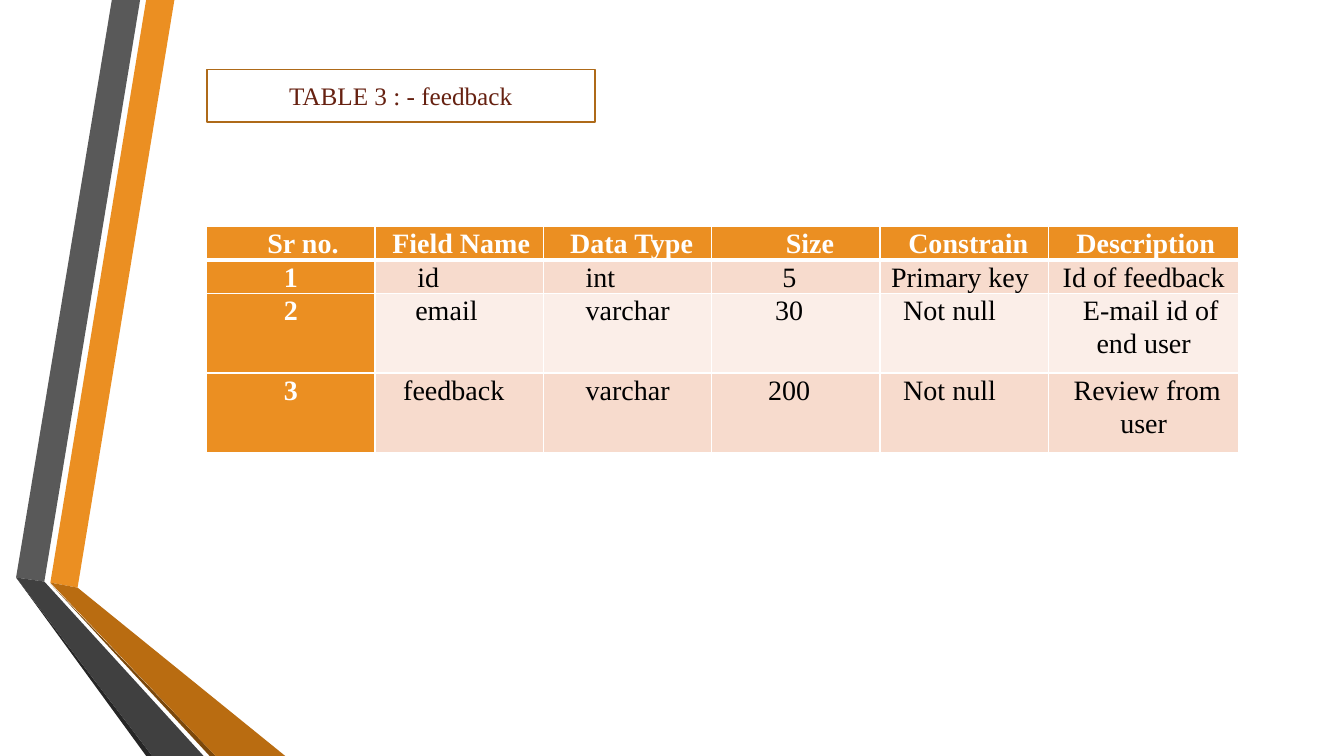
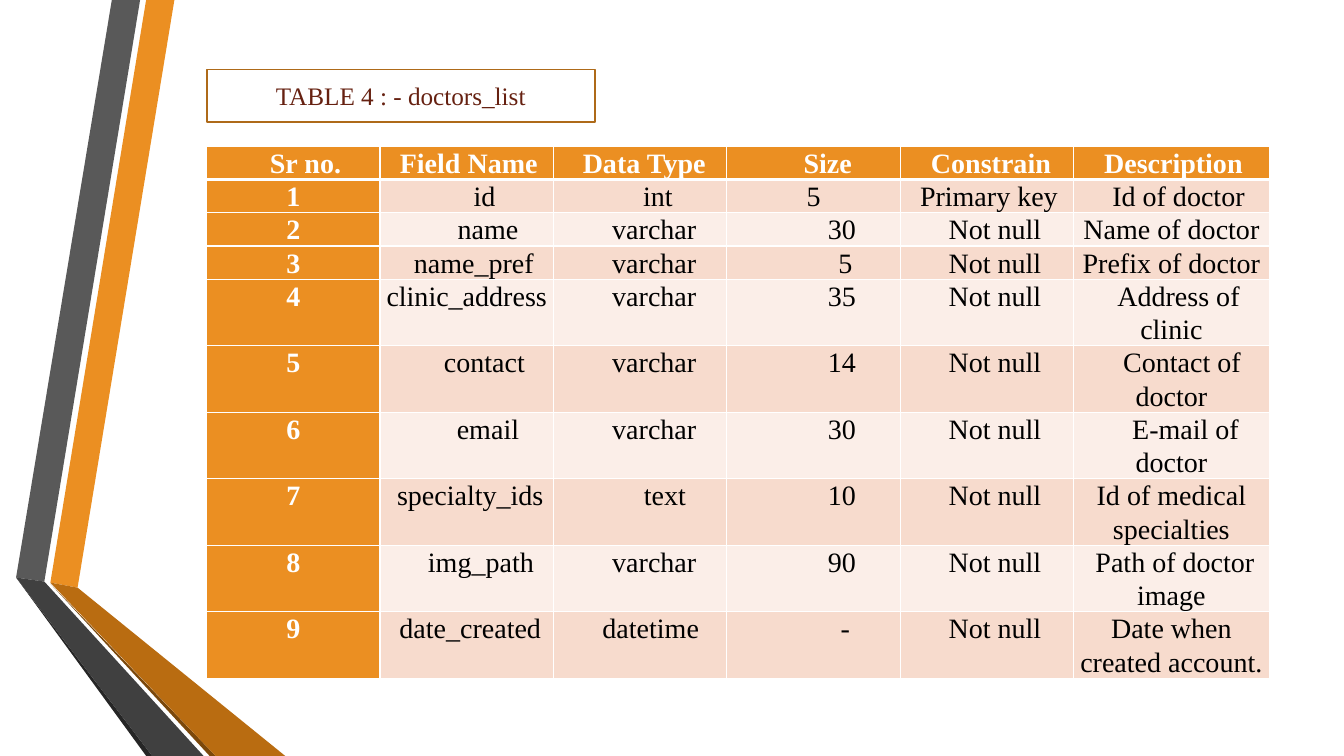
from pptx import Presentation
from pptx.dml.color import RGBColor
from pptx.enum.text import MSO_ANCHOR, MSO_AUTO_SIZE, PP_ALIGN
from pptx.oxml import parse_xml
from pptx.oxml.ns import nsdecls
from pptx.util import Inches, Pt

COLORS = {
    "orange": "EB8F22", "rust": "B96C11", "brown": "7B480B",
    "gray": "595959", "charcoal": "404040", "black": "262626",
    "outline": "AE6A19", "title": "662111", "text": "000000",
    "white": "FFFFFF", "odd": "F7DBCD", "even": "FBEEE8",
}
FONT = "Times New Roman"
LEFT = 2.05
LINE = 0.33

BANDS = [
    ("orange", [(0.5, 5.78), (0.77, 5.83), (1.73, 0), (1.45, 0)]),
    ("gray", [(1.39, 0), (1.11, 0), (0.16, 5.73), (0.44, 5.77)]),
    ("black", [(0.16, 5.73), (1.45, 7.5), (1.51, 7.5)]),
    ("brown", [(0.5, 5.79), (2.08, 7.5), (2.14, 7.5)]),
    ("rust", [(0.5, 5.78), (2.14, 7.5), (2.83, 7.5), (0.77, 5.83)]),
    ("charcoal", [(2.02, 7.5), (0.44, 5.77), (0.16, 5.73), (1.51, 7.5)]),
]

HEADER = ["Sr no.", "Field Name", "Data Type", "Size", "Constrain", "Description"]
HEADER_INDENTS = [0.24, 0.04, 0.08, 0.28, 0.08, 0.04]

TABLES = [
    {
        "title": "TABLE 3 : - feedback",
        "top": 2.25, "columns": [1.67] * 5 + [1.89], "inset": 0.07,
        "heights": [LINE, LINE, 0.79, 0.79], "align": PP_ALIGN.LEFT,
        "rows": [
            ["1", "id", "int", "5", "Primary key", "Id of feedback"],
            ["2", "email", "varchar", "30", "Not null", "E-mail id of end user"],
            ["3", "feedback", "varchar", "200", "Not null", "Review from user"],
        ],
        "indents": [
            [0, 0.35, 0.35, 0.63, 0.04, 0],
            [0, 0.33, 0.35, 0.56, 0.16, 0.14],
            [0, 0.21, 0.35, 0.49, 0.16, 0.07],
        ],
    },
    {
        "title": "TABLE 4 : - doctors_list",
        "top": 1.45, "columns": [1.72] * 5 + [1.94], "inset": 0.05,
        "heights": [LINE] * 4 + [2 * LINE] * 6, "align": PP_ALIGN.CENTER,
        "rows": [
            ["1", "id", "int", "5", "Primary key", "Id of doctor"],
            ["2", "name", "varchar", "30", "Not null", "Name of doctor"],
            ["3", "name_pref", "varchar", "5", "Not null", "Prefix of doctor"],
            ["4", "clinic_address", "varchar", "35", "Not null", "Address of clinic"],
            ["5", "contact", "varchar", "14", "Not null", "Contact of doctor"],
            ["6", "email", "varchar", "30", "Not null", "E-mail of doctor"],
            ["7", "specialty_ids", "text", "10", "Not null", "Id of medical specialties"],
            ["8", "img_path", "varchar", "90", "Not null", "Path of doctor image"],
            ["9", "date_created", "datetime", "-", "Not null", "Date when created account."],
        ],
        "indents": [
            [0, 0.35, 0.35, 0, 0.04, 0.14],
            [0, 0.42, 0.28, 0.56, 0.16, 0],
            [0, 0.14, 0.28, 0.63, 0.16, 0],
            [0, 0, 0.28, 0.56, 0.16, 0.14],
            [0, 0.35, 0.28, 0.56, 0.16, 0.21],
            [0, 0.42, 0.28, 0.56, 0.16, 0.28],
            [0, 0.07, 0.49, 0.56, 0.16, 0],
            [0, 0.28, 0.28, 0.56, 0.16, 0.07],
            [0, 0.07, 0.21, 0.63, 0.16, 0],
        ],
    },
]


def color(name):
    return RGBColor.from_string(COLORS[name])


def paint(item, name):
    item.fill.solid()
    item.fill.fore_color.rgb = color(name)


def write(frame, text, size=20, ink="text", bold=False, align=PP_ALIGN.CENTER,
          indent=0, spacing=1.07):
    para = frame.paragraphs[0]
    para.alignment = align
    para.line_spacing = spacing
    if indent:
        properties = para._p.get_or_add_pPr()
        properties.set("marL", "0")
        properties.set("indent", str(Inches(indent)))
    span = para.add_run()
    span.text = text
    span.font.name = FONT
    span.font.size = Pt(size)
    span.font.bold = bold
    span.font.color.rgb = color(ink)


def add_bands(slide, layout):
    for name, points in BANDS:
        corners = [(Inches(x), Inches(y)) for x, y in points]
        builder = slide.shapes.build_freeform(*corners[0], scale=1.0)
        builder.add_line_segments(corners[1:], close=True)
        band = builder.convert_to_shape()
        band.shadow.inherit = False
        paint(band, name)
        band.line.fill.background()
        layout.shapes.element.append(band.element)


def add_title(slide, text):
    title = slide.shapes.title
    title.left, title.top = Inches(LEFT), Inches(0.69)
    title.width, title.height = Inches(3.85), Inches(0.52)
    title.element.spPr.append(parse_xml(
        f'<a:prstGeom {nsdecls("a")} prst="roundRect"><a:avLst/></a:prstGeom>'))
    paint(title, "white")
    title.line.color.rgb = color("outline")
    title.line.width = Pt(1.25)
    frame = title.text_frame
    frame.word_wrap = True
    frame.auto_size = MSO_AUTO_SIZE.NONE
    frame.vertical_anchor = MSO_ANCHOR.MIDDLE
    write(frame, text, size=18, ink="title", spacing=1.0)


def add_borders(cell, row):
    widths = {"L": 1, "R": 1, "T": 3 if row == 1 else 1, "B": 3 if row == 0 else 1}
    properties = cell._tc.get_or_add_tcPr()
    for position, (side, width) in enumerate(widths.items()):
        properties.insert(position, parse_xml(
            f'<a:ln{side} {nsdecls("a")} w="{Pt(width)}"><a:solidFill>'
            f'<a:srgbClr val="{COLORS["white"]}"/></a:solidFill></a:ln{side}>'))


def add_field_table(slide, content):
    rows = [HEADER] + content["rows"]
    indents = [HEADER_INDENTS] + content["indents"]
    columns, heights = content["columns"], content["heights"]
    table = slide.shapes.add_table(
        len(rows), len(columns), Inches(LEFT), Inches(content["top"]),
        Inches(sum(columns)), Inches(sum(heights))).table
    for column, width in zip(table.columns, columns):
        column.width = Inches(width)
    for row, height in zip(table.rows, heights):
        row.height = Inches(height)
    last = len(columns) - 1
    for r, texts in enumerate(rows):
        for c, text in enumerate(texts):
            cell = table.cell(r, c)
            cell.margin_left = cell.margin_right = Inches(content["inset"])
            cell.margin_top = cell.margin_bottom = 0
            heading = r == 0 or c == 0
            paint(cell, "orange" if heading else "odd" if r % 2 else "even")
            add_borders(cell, r)
            centered = heading or c == last
            write(cell.text_frame, text, ink="white" if heading else "text",
                  bold=heading, indent=indents[r][c],
                  align=PP_ALIGN.CENTER if centered else content["align"])


def main():
    deck = Presentation()
    deck.slide_width, deck.slide_height = Inches(13.33), Inches(7.5)
    layout = deck.slide_layouts[5]
    pages = [deck.slides.add_slide(layout) for _ in TABLES]
    add_bands(pages[0], layout)
    for page, content in zip(pages, TABLES):
        add_title(page, content["title"])
        add_field_table(page, content)
    deck.save("out.pptx")


if __name__ == "__main__":
    main()
